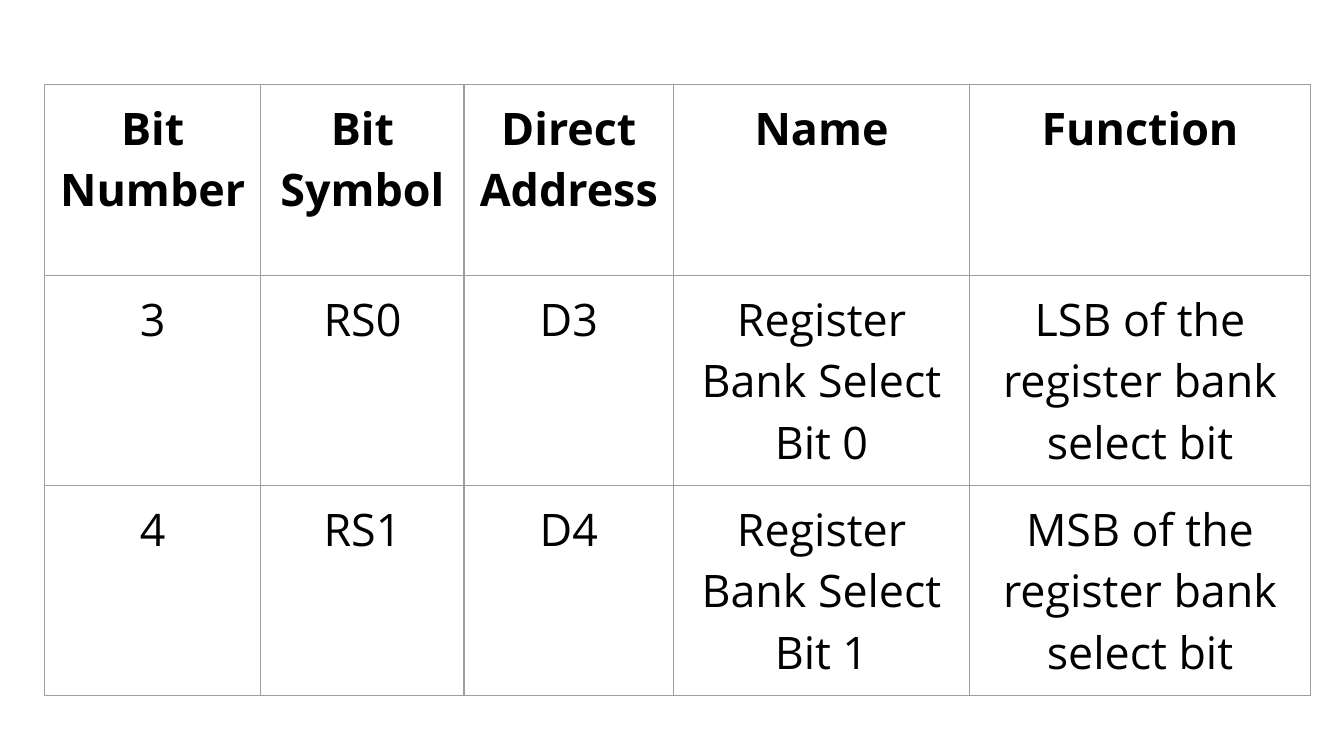
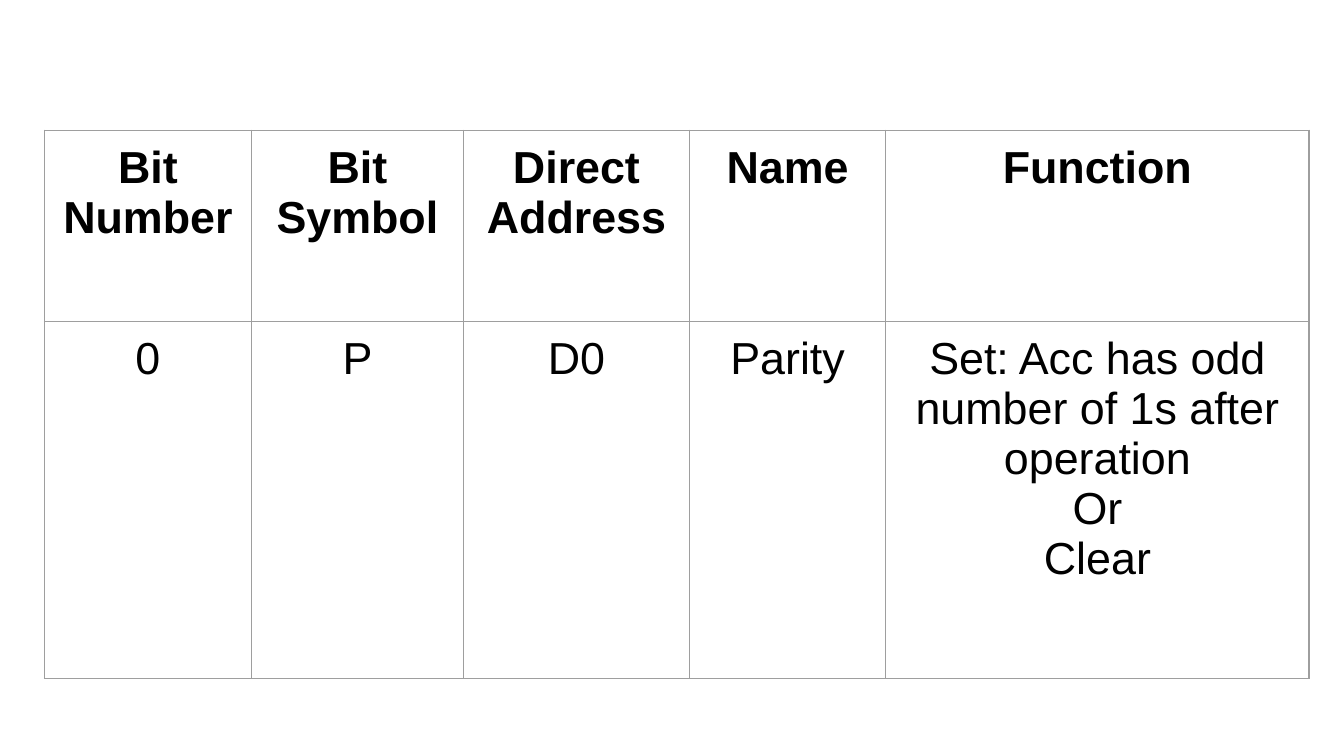
from lxml import etree
from pptx import Presentation
from pptx.dml.color import RGBColor
from pptx.enum.text import MSO_ANCHOR, PP_ALIGN
from pptx.oxml.ns import qn
from pptx.util import Cm, Pt

CENTER = PP_ALIGN.CENTER
TOP = MSO_ANCHOR.TOP

BLANK_LAYOUT = 6
TEXT_COLOR = "000000"
BORDER_COLOR = "9E9E9E"
BORDER_WIDTH = Pt(0.75)
BORDER_SIDES = ("a:lnL", "a:lnR", "a:lnT", "a:lnB")
TABLE_LEFT = 0.84
HEADER_HEIGHT = 3.61
HEADERS = ["Bit Number", "Bit Symbol", "Direct Address", "Name", "Function"]


def color(hex_value):
    return RGBColor.from_string(hex_value)


def apply_format(target, values):
    for name, value in values.items():
        setattr(target, name, value)


class Deck:
    """Holds the shared table style and the current slide."""

    cell_format = {
        "margin_left": Cm(0.25),
        "margin_right": Cm(0.25),
        "margin_top": Cm(0.25),
        "margin_bottom": Cm(0.25),
        "vertical_anchor": TOP,
    }

    def __init__(self):
        self.presentation = Presentation()
        apply_format(self.presentation,
                     {"slide_width": Cm(25.4), "slide_height": Cm(14.29)})
        self.slide = None

    def add_slide(self):
        layout = self.presentation.slide_layouts[BLANK_LAYOUT]
        self.slide = self.presentation.slides.add_slide(layout)

    def add_table(self, top, column_widths, body_heights, body, font_name):
        rows = [HEADERS] + body
        heights = [HEADER_HEIGHT] + body_heights
        frame = self.slide.shapes.add_table(
            len(rows), len(HEADERS), Cm(TABLE_LEFT), Cm(top),
            Cm(sum(column_widths)), Cm(sum(heights)))
        table = frame.table
        apply_format(table, {"first_row": False, "horz_banding": False})

        for column, width in zip(table.columns, column_widths):
            column.width = Cm(width)
        for row, height in zip(table.rows, heights):
            row.height = Cm(height)

        for row_index, texts in enumerate(rows):
            for column_index, text in enumerate(texts):
                self.fill_cell(table.cell(row_index, column_index), text,
                               font_name, bold=row_index == 0)

    def fill_cell(self, cell, text, font_name, bold):
        apply_format(cell, self.cell_format)
        self.add_borders(cell)
        cell.fill.background()
        cell.text_frame.text = text
        for paragraph in cell.text_frame.paragraphs:
            paragraph.alignment = CENTER
            for run in paragraph.runs:
                apply_format(run.font, {"name": font_name, "size": Pt(24),
                                        "bold": bold})
                run.font.color.rgb = color(TEXT_COLOR)

    def add_borders(self, cell):
        properties = cell._tc.get_or_add_tcPr()
        for side in BORDER_SIDES:
            line = etree.SubElement(properties, qn(side), w=str(BORDER_WIDTH))
            fill = etree.SubElement(line, qn("a:solidFill"))
            etree.SubElement(fill, qn("a:srgbClr"), val=BORDER_COLOR)


def main():
    deck = Deck()

    # Register bank select bits
    deck.add_slide()
    deck.add_table(
        top=1.6,
        column_widths=[4.09, 3.84, 3.96, 5.59, 6.45],
        body_heights=[3.43, 1.98],
        body=[
            ["3", "RS0", "D3", "Register Bank Select Bit 0",
             "LSB of the register bank select bit"],
            ["4", "RS1", "D4", "Register Bank Select Bit 1",
             "MSB of the register bank select bit"],
        ],
        font_name="Open Sans")

    # Parity bit
    deck.add_slide()
    deck.add_table(
        top=2.46,
        column_widths=[3.91, 4.01, 4.27, 3.71, 8],
        body_heights=[6.76],
        body=[
            ["0", "P", "D0", "Parity",
             "Set: Acc has odd number of 1s after operation\nOr\nClear"],
        ],
        font_name="Arial")

    deck.presentation.save("out.pptx")


if __name__ == "__main__":
    main()
